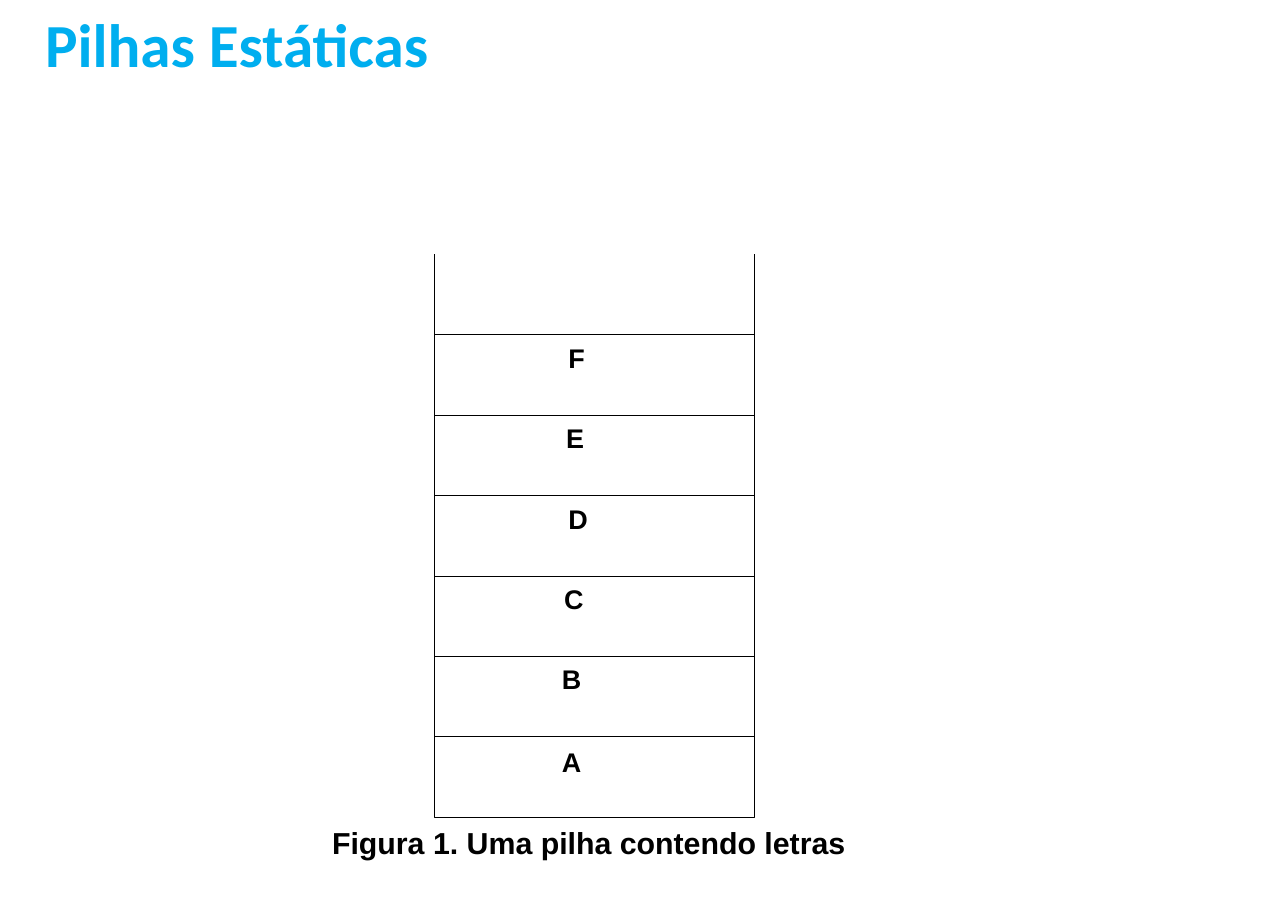
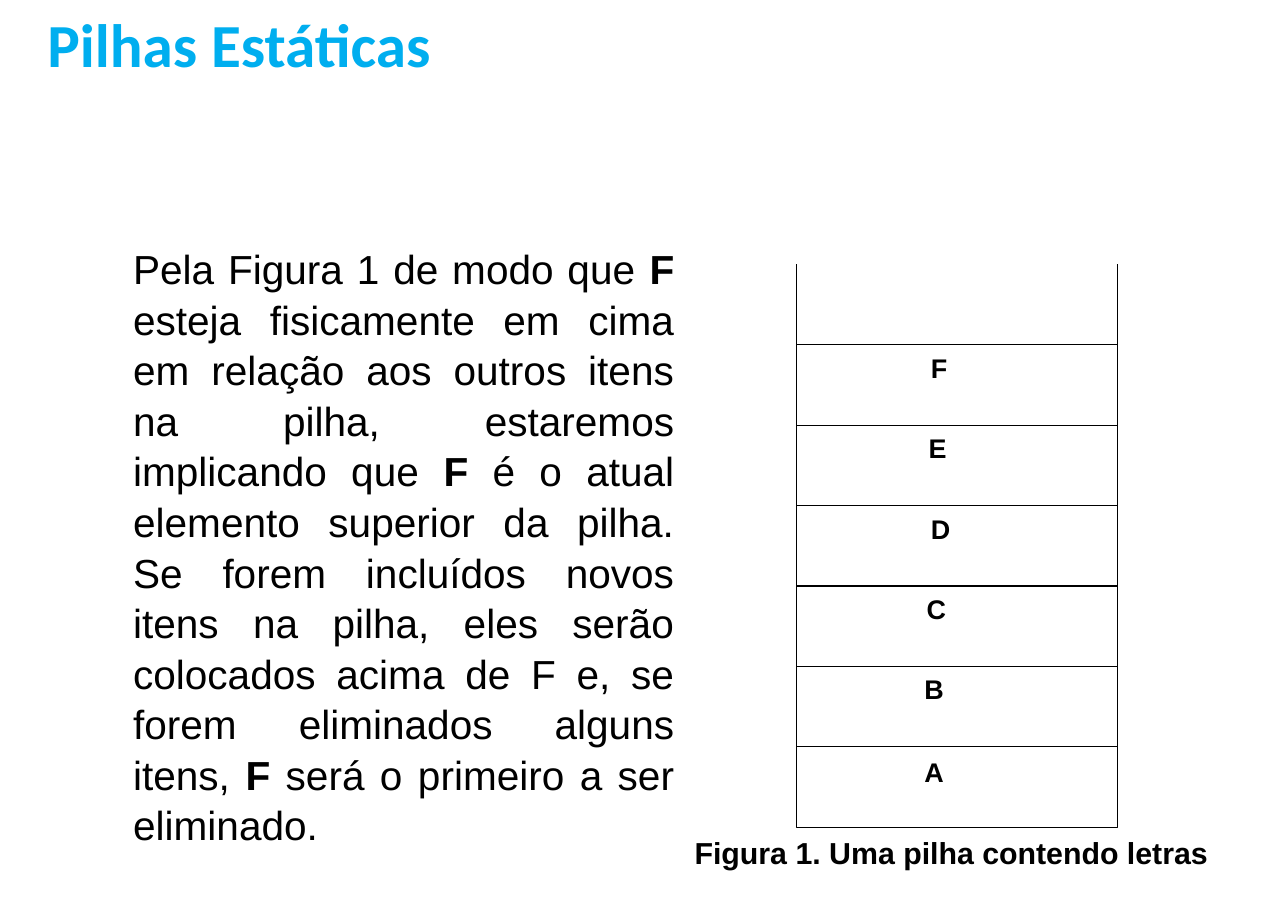
from lxml.etree import SubElement
from pptx import Presentation
from pptx.dml.color import RGBColor
from pptx.enum.shapes import MSO_CONNECTOR, MSO_SHAPE
from pptx.enum.text import MSO_ANCHOR, MSO_AUTO_SIZE, PP_ALIGN
from pptx.oxml.ns import qn
from pptx.util import Inches, Pt

BLUE = RGBColor(0x00, 0xAE, 0xEF)
BLACK = RGBColor(0x00, 0x00, 0x00)
WHITE = RGBColor(0xFF, 0xFF, 0xFF)

TITLE_FONT = {"name": "Calibri", "size": Pt(40), "bold": True}
BODY_FONT = {"name": "Arial", "size": Pt(26.5), "bold": False}
LABEL_FONT = {"name": "Arial", "size": Pt(17.6), "bold": True}
CAPTION_FONT = {"name": "Arial", "size": Pt(19.8), "bold": True}

TITLE = "Pilhas Estáticas"
CAPTION = "Figura 1. Uma pilha contendo letras"
BODY_PARTS = [
    ("Pela Figura 1 de modo que ", False),
    ("F", True),
    (" esteja fisicamente em cima em relação aos outros itens na pilha, "
     "estaremos implicando que ", False),
    ("F", True),
    (" é o atual elemento superior da pilha. Se forem incluídos novos itens "
     "na pilha, eles serão colocados acima de F e, se forem eliminados "
     "alguns itens, ", False),
    ("F", True),
    (" será o primeiro a ser eliminado.", False),
]

CELL_HEIGHT = 0.73
STACK_WIDTH = 2.91
LINE_WIDTH = Pt(0.75)
LABEL_OFFSETS = {
    "F": (1.11, 0), "E": (1.09, 0), "D": (1.11, 0),
    "C": (1.07, 0), "B": (1.05, 0), "A": (1.05, 0.02),
}
FRAME_MARGINS = {
    "margin_left": Inches(0.11), "margin_right": Inches(0.11),
    "margin_top": Inches(0.06), "margin_bottom": Inches(0.06),
}


def apply_format(target, values):
    """Set each named attribute on the target."""
    for name, value in values.items():
        setattr(target, name, value)


def add_run(paragraph, text, font_values, color=BLACK):
    """Append one formatted run to a paragraph."""
    run = paragraph.add_run()
    run.text = text
    apply_format(run.font, font_values)
    run.font.color.rgb = color


def add_text_box(shapes, left, top, width, height, frame_values):
    """Add an empty text box and return its text frame."""
    box = shapes.add_textbox(
        Inches(left), Inches(top), Inches(width), Inches(height))
    apply_format(box.text_frame, {"word_wrap": True, **frame_values})
    return box.text_frame


def add_line(shapes, start_x, start_y, end_x, end_y):
    """Add a thin black line without a shadow."""
    line = shapes.add_connector(
        MSO_CONNECTOR.STRAIGHT,
        Inches(start_x), Inches(start_y), Inches(end_x), Inches(end_y))
    line.line.color.rgb = BLACK
    line.line.width = LINE_WIDTH
    SubElement(line._element.spPr, qn("a:effectLst"))


def add_titled_slide(presentation, title_left):
    """Add a title-only slide with the shared title style."""
    slide = presentation.slides.add_slide(presentation.slide_layouts[5])
    title = slide.shapes.title
    apply_format(title, {
        "left": Inches(title_left), "top": Inches(0),
        "width": Inches(9.92), "height": Inches(0.78)})
    apply_format(title.text_frame, {
        "auto_size": MSO_AUTO_SIZE.NONE, "word_wrap": True,
        "vertical_anchor": MSO_ANCHOR.MIDDLE})
    paragraph = title.text_frame.paragraphs[0]
    paragraph.alignment = PP_ALIGN.LEFT
    add_run(paragraph, TITLE, TITLE_FONT, BLUE)
    return slide


def add_stack(slide, left, top):
    """Draw the open-topped stack of letters with its corner at left, top."""
    shapes = slide.shapes.add_group_shape().shapes
    right = left + STACK_WIDTH
    first_cell = top + CELL_HEIGHT
    body = shapes.add_shape(
        MSO_SHAPE.RECTANGLE, Inches(left), Inches(first_cell),
        Inches(STACK_WIDTH), Inches(CELL_HEIGHT * len(LABEL_OFFSETS)))
    body.shadow.inherit = False
    body.fill.solid()
    body.fill.fore_color.rgb = WHITE
    body.line.color.rgb = BLACK
    body.line.width = LINE_WIDTH
    for side in (left, right):
        add_line(shapes, side, top, side, first_cell)
    for index, (letter, (shift_x, shift_y)) in enumerate(LABEL_OFFSETS.items()):
        cell_top = first_cell + index * CELL_HEIGHT
        if index:
            add_line(shapes, left, cell_top, right, cell_top)
        frame = add_text_box(
            shapes, left + shift_x, cell_top + shift_y,
            CELL_HEIGHT, CELL_HEIGHT, FRAME_MARGINS)
        add_run(frame.paragraphs[0], letter, LABEL_FONT)


def add_figure(slide, left, top):
    """Place the stack and the caption below it."""
    add_stack(slide, left, top)
    frame = add_text_box(
        slide.shapes, left - 1.06, top + 5.11, 4.93, 0.45,
        {**FRAME_MARGINS, "word_wrap": False,
         "auto_size": MSO_AUTO_SIZE.SHAPE_TO_FIT_TEXT,
         "vertical_anchor": MSO_ANCHOR.MIDDLE})
    paragraph = frame.paragraphs[0]
    paragraph.alignment = PP_ALIGN.CENTER
    add_run(paragraph, CAPTION, CAPTION_FONT)


def add_explanation(slide, left, top, width, height):
    """Place the justified paragraph about the top of the stack."""
    frame = add_text_box(slide.shapes, left, top, width, height, {})
    paragraph = frame.paragraphs[0]
    apply_format(paragraph, {
        "alignment": PP_ALIGN.JUSTIFY, "line_spacing": 1.04})
    for text, bold in BODY_PARTS:
        add_run(paragraph, text, {**BODY_FONT, "bold": bold})


def main():
    """Build and save the presentation."""
    presentation = Presentation()
    presentation.slide_width = Inches(11.69)
    presentation.slide_height = Inches(8.27)

    figure_slide = add_titled_slide(presentation, 0.31)
    add_figure(figure_slide, 3.94, 2.31)

    explanation_slide = add_titled_slide(presentation, 0.33)
    add_explanation(explanation_slide, 1.11, 2.15, 5.11, 4.96)
    add_figure(explanation_slide, 7.23, 2.4)

    presentation.save("out.pptx")


if __name__ == "__main__":
    main()
